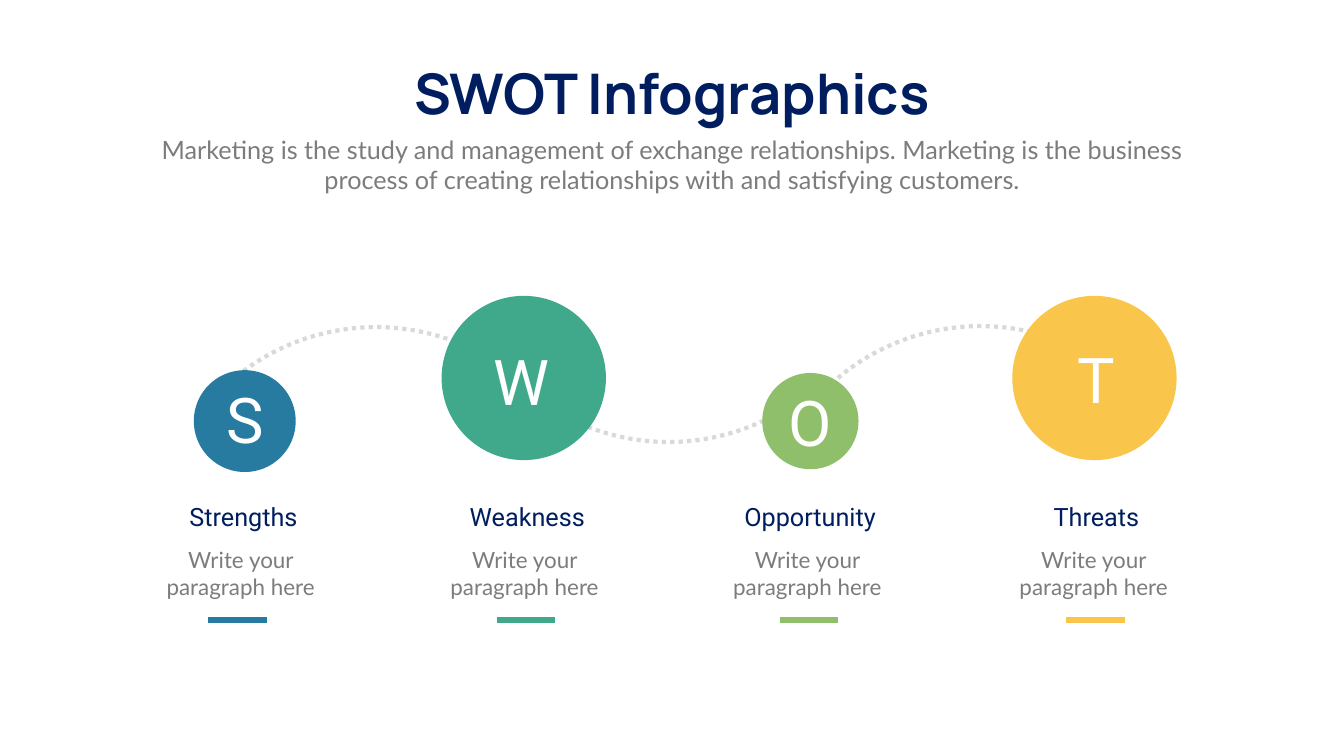
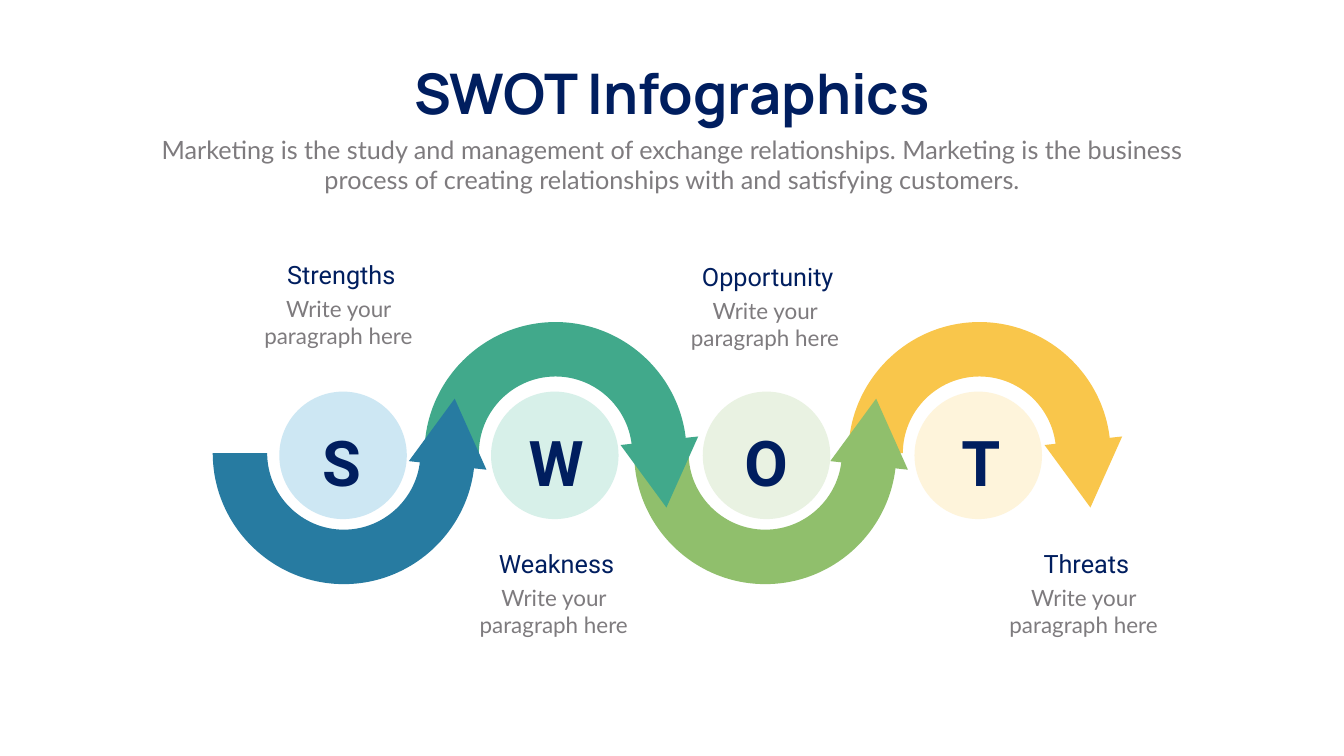
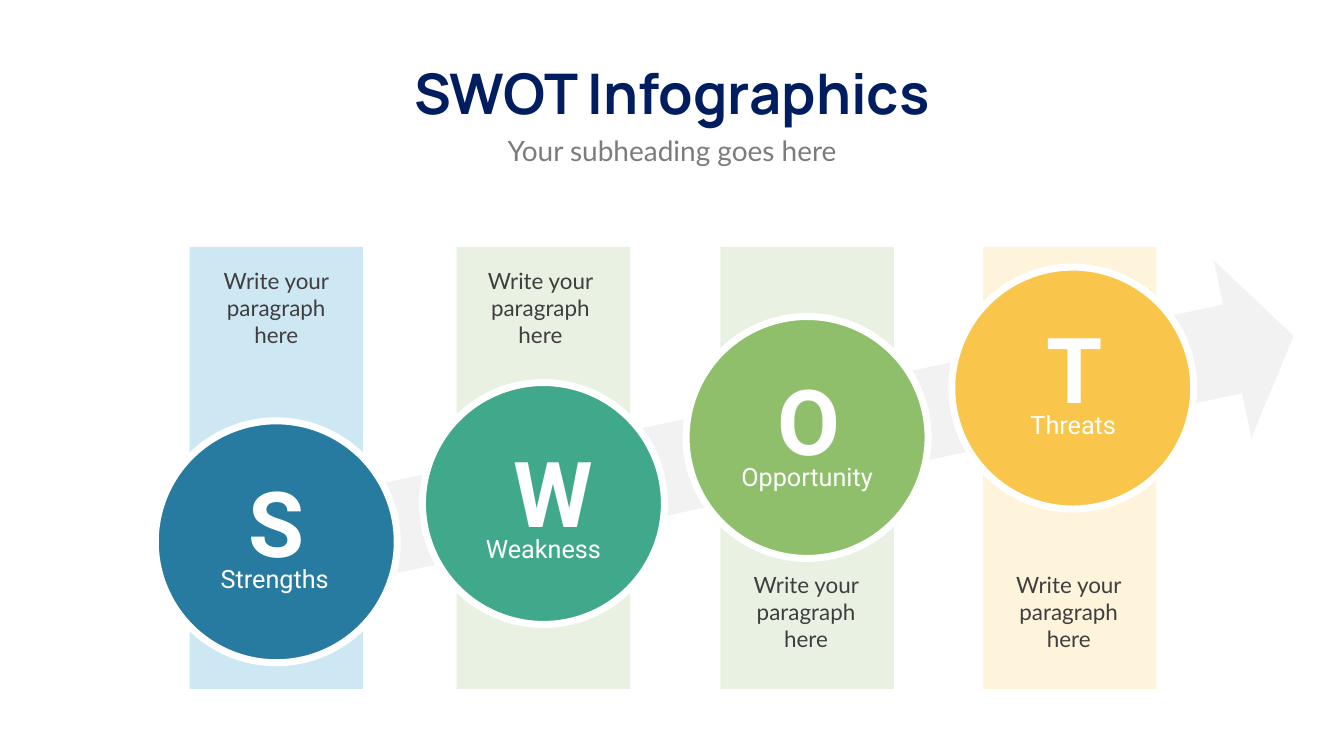
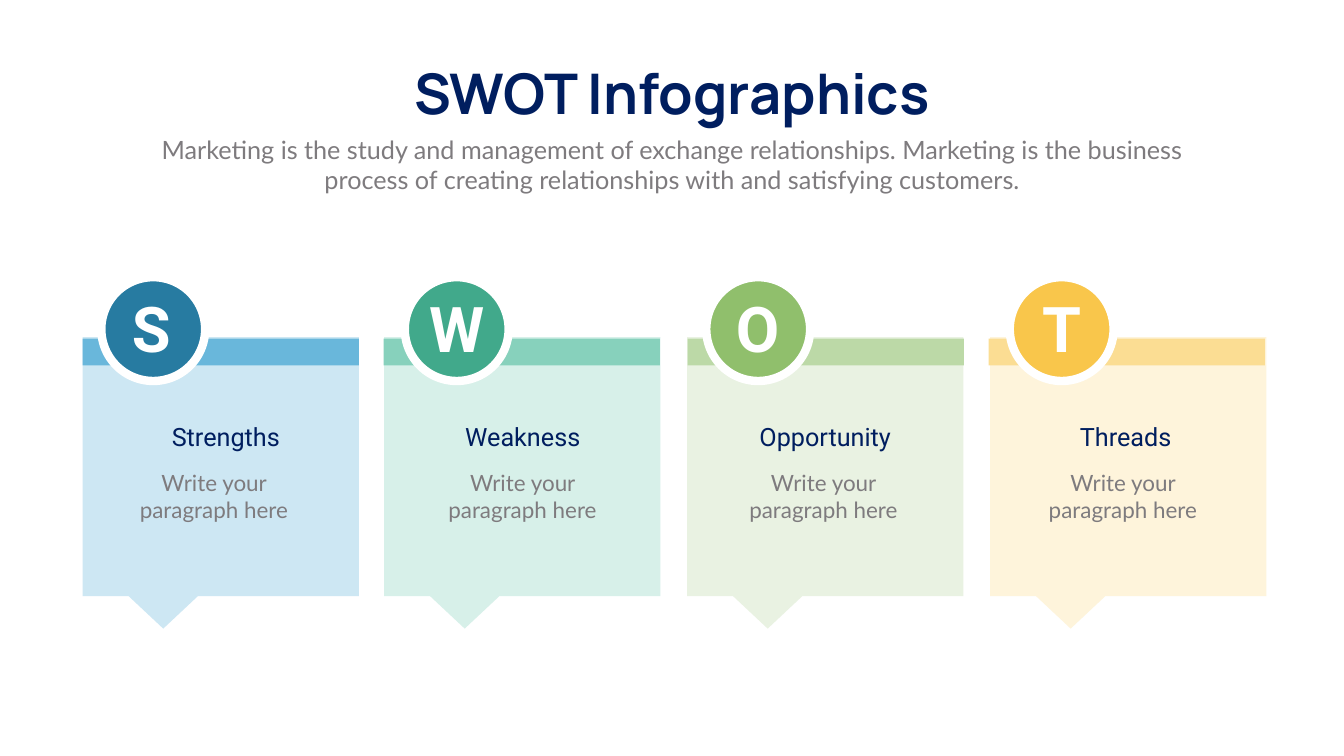
from dataclasses import dataclass
from typing import NamedTuple, Optional

from lxml.etree import Element, SubElement
from pptx import Presentation
from pptx.dml.color import RGBColor
from pptx.enum.dml import MSO_LINE
from pptx.enum.shapes import MSO_CONNECTOR, MSO_SHAPE as Preset
from pptx.enum.text import MSO_AUTO_SIZE, PP_ALIGN
from pptx.oxml.ns import qn
from pptx.shapes.autoshape import Shape
from pptx.slide import Slide
from pptx.util import Inches, Pt

WHITE = RGBColor(0xFF, 0xFF, 0xFF)
NAVY = RGBColor(0x00, 0x1E, 0x5F)
GREY = RGBColor(0x7E, 0x7B, 0x7E)
CHARCOAL = RGBColor(0x3F, 0x3E, 0x3F)
DOT_GREY = RGBColor(0xD9, 0xD9, 0xD9)
ARROW_GREY = RGBColor(0xF2, 0xF2, 0xF2)
BLUE = RGBColor(0x27, 0x7B, 0xA1)
TEAL = RGBColor(0x41, 0xA9, 0x8B)
GREEN = RGBColor(0x90, 0xBF, 0x6C)
YELLOW = RGBColor(0xF9, 0xC6, 0x4B)
MID_BLUE = RGBColor(0x69, 0xB7, 0xDB)
MID_TEAL = RGBColor(0x87, 0xD1, 0xBC)
MID_GREEN = RGBColor(0xBC, 0xD9, 0xA7)
MID_YELLOW = RGBColor(0xFB, 0xDD, 0x93)
PALE_BLUE = RGBColor(0xCD, 0xE7, 0xF3)
PALE_TEAL = RGBColor(0xD7, 0xF0, 0xE9)
PALE_GREEN = RGBColor(0xE9, 0xF2, 0xE2)
PALE_YELLOW = RGBColor(0xFE, 0xF4, 0xDB)

TITLE = "SWOT Infographics"
SUMMARY = (
    "Marketing is the study and management of exchange relationships. "
    "Marketing is the business process of creating relationships with "
    "and satisfying customers."
)
BODY = "Write your paragraph here"


class Box(NamedTuple):
    left: float
    top: float
    width: float
    height: float


class Outline(NamedTuple):
    color: RGBColor
    points: float


class Style(NamedTuple):
    font: str
    size: int
    color: RGBColor
    bold: bool = False


TITLE_STYLE = Style("Manrope", 80, NAVY, True)
SUMMARY_STYLE = Style("Lato", 36, GREY)
SUBHEADING_STYLE = Style("Lato", 40, GREY)
HEADING_STYLE = Style("Roboto", 36, NAVY)
BODY_STYLE = Style("Lato", 32, GREY)
LETTER_STYLE = Style("Roboto", 90, WHITE)


@dataclass(frozen=True)
class Factor:
    letter: str
    name: str
    color: RGBColor
    mid: RGBColor
    pale: RGBColor


FACTORS = [
    Factor("S", "Strengths", BLUE, MID_BLUE, PALE_BLUE),
    Factor("W", "Weakness", TEAL, MID_TEAL, PALE_TEAL),
    Factor("O", "Opportunity", GREEN, MID_GREEN, PALE_GREEN),
    Factor("T", "Threats", YELLOW, MID_YELLOW, PALE_YELLOW),
]


def paint(shape: Shape, fill: Optional[RGBColor], outline: Optional[Outline]) -> None:
    shape.shadow.inherit = False
    if fill is None:
        shape.fill.background()
    else:
        shape.fill.solid()
        shape.fill.fore_color.rgb = fill
    if outline is None:
        shape.line.fill.background()
    else:
        shape.line.color.rgb = outline.color
        shape.line.width = Pt(outline.points)


def add_preset(slide: Slide, preset: Preset, box: Box, fill: Optional[RGBColor],
               outline: Optional[Outline] = None) -> Shape:
    shape = slide.shapes.add_shape(preset, *map(Inches, box))
    paint(shape, fill, outline)
    return shape


def add_circle(slide: Slide, left: float, top: float, size: float,
               fill: RGBColor, outline: Optional[Outline] = None) -> None:
    add_preset(slide, Preset.OVAL, Box(left, top, size, size), fill, outline)


def add_polygon(slide: Slide, points: list[tuple[float, float]], fill: RGBColor) -> Shape:
    corners = [(Inches(x), Inches(y)) for x, y in points]
    builder = slide.shapes.build_freeform(*corners[0])
    builder.add_line_segments(corners[1:], close=True)
    shape = builder.convert_to_shape()
    paint(shape, fill, None)
    return shape


def bend_segments(shape: Shape, starts: tuple[int, ...]) -> None:
    """Turn the three straight segments from each start into one Bezier curve."""
    segments = list(shape._element.iter(qn("a:lnTo")))
    for start in starts:
        curve = Element(qn("a:cubicBezTo"))
        segments[start].addprevious(curve)
        for segment in segments[start:start + 3]:
            curve.append(segment[0])
            segment.getparent().remove(segment)


def add_text(slide: Slide, box: Box, text: str, style: Style, wrap: bool = True) -> None:
    frame = slide.shapes.add_textbox(*map(Inches, box)).text_frame
    frame.word_wrap = wrap
    frame.auto_size = MSO_AUTO_SIZE.SHAPE_TO_FIT_TEXT
    paragraph = frame.paragraphs[0]
    paragraph.alignment = PP_ALIGN.CENTER
    run = paragraph.add_run()
    run.text = text
    run.font.name = style.font
    run.font.size = Pt(style.size)
    run.font.bold = style.bold
    run.font.color.rgb = style.color


def add_letter(slide: Slide, left: float, top: float, text: str, style: Style,
               width: float = 1.45) -> None:
    add_text(slide, Box(left, top, width, 1.62), text, style)


def add_heading(slide: Slide, left: float, top: float, text: str,
                style: Style = HEADING_STYLE) -> None:
    add_text(slide, Box(left, top, 3.26, 0.71), text, style)


def add_body(slide: Slide, left: float, top: float) -> None:
    add_text(slide, Box(left - 0.01, top, 3.17, 1.18), BODY, BODY_STYLE)


def add_rule(slide: Slide, left: float, top: float, length: float, color: RGBColor) -> None:
    rule = slide.shapes.add_connector(
        MSO_CONNECTOR.STRAIGHT, Inches(left), Inches(top), Inches(left + length), Inches(top))
    rule.line.color.rgb = color
    rule.line.width = Pt(8)
    SubElement(rule._element.spPr, qn("a:effectLst"))


def add_titled_slide(presentation: Presentation, subtitle: str = SUMMARY,
                     style: Style = SUMMARY_STYLE) -> Slide:
    slide = presentation.slides.add_slide(presentation.slide_layouts[6])
    add_text(slide, Box(7.72, 1.12, 11.22, 1.45), TITLE, TITLE_STYLE, wrap=False)
    height = 1.31 if subtitle == SUMMARY else 0.77
    add_text(slide, Box(2.92, 2.61, 20.82, height), subtitle, style)
    return slide


class DottedArc(NamedTuple):
    left: float
    top: float
    rotation: float
    start: float
    end: float


class Bubble(NamedTuple):
    left: float
    top: float
    size: float
    letter_left: float
    letter_top: float
    text_left: float
    rule_left: float


def build_bubbles(presentation: Presentation) -> None:
    slide = add_titled_slide(presentation)
    arcs = [
        DottedArc(15.05, 6.47, 333.6, 254.23, 345.46),
        DottedArc(8.86, -0.03, 135, 270, 0),
        DottedArc(3.06, 6.49, 305.4, 283.58, 0),
    ]
    for item in arcs:
        arc = add_preset(slide, Preset.ARC, Box(item.left, item.top, 8.8, 8.8),
                         None, Outline(DOT_GREY, 6))
        arc.line.dash_style = MSO_LINE.ROUND_DOT
        arc.rotation = item.rotation
        # An adjustment of 0.6 stands for one degree.
        arc.adjustments[0] = item.start * 0.6
        arc.adjustments[1] = item.end * 0.6

    bubbles = [
        Bubble(3.9, 7.4, 1.91, 4.13, 7.51, 3.2, 4.13),
        Bubble(8.76, 5.87, 3.26, 9.62, 6.74, 8.83, 9.85),
        Bubble(15.12, 7.4, 1.91, 15.35, 7.56, 14.44, 15.47),
        Bubble(20.08, 5.87, 3.26, 21.02, 6.71, 20.12, 21.15),
    ]
    for factor, bubble in zip(FACTORS, bubbles):
        outline = Outline(BLUE, 8) if factor.letter == "S" else None
        add_circle(slide, bubble.left, bubble.top, bubble.size, factor.color, outline)
        add_letter(slide, bubble.letter_left, bubble.letter_top, factor.letter, LETTER_STYLE)
        add_heading(slide, bubble.text_left, 9.89, factor.name)
        add_body(slide, bubble.text_left, 10.78)
        add_rule(slide, bubble.rule_left, 12.3, 1.16, factor.color)


class Bend(NamedTuple):
    center: float
    direction: int
    letter_left: float
    text_left: float
    text_top: float


def half_circle(radius: float) -> list[tuple[float, float]]:
    """Give the Bezier points of a half circle from its right end to its left end."""
    handle = 0.55 * radius
    right = [(radius, 0), (radius, handle), (handle, radius)]
    return right + [(0, radius)] + [(-x, y) for x, y in reversed(right)]


def add_bend(slide: Slide, center: float, direction: int, color: RGBColor) -> None:
    """Draw half a ring with an arrowhead; direction 1 hangs down, -1 arches up."""
    def place(points: list[tuple[float, float]]) -> list[tuple[float, float]]:
        return [(center + x, 8.99 + direction * y) for x, y in points]

    ring = half_circle(2.6) + half_circle(1.52)[::-1]
    bend_segments(add_polygon(slide, place(ring), color), (0, 3, 7, 10))
    add_polygon(slide, place([(2.2, -1.08), (1.29, 0.16), (2.83, 0.33)]), color)


def build_wave(presentation: Presentation) -> None:
    slide = add_titled_slide(presentation)
    bends = [
        Bend(6.82, 1, 6.05, 5.14, 5.1),
        Bend(11.02, -1, 10.31, 9.41, 10.83),
        Bend(15.18, 1, 14.47, 13.6, 5.13),
        Bend(19.43, -1, 18.73, 19.92, 10.83),
    ]
    for index, factor in enumerate(FACTORS):
        add_circle(slide, 5.54 + 4.2 * index, 7.77, 2.53, factor.pale)
    stages = list(zip(FACTORS, bends))
    for factor, bend in reversed(stages):
        add_bend(slide, bend.center, bend.direction, factor.color)
    for factor, bend in stages:
        add_letter(slide, bend.letter_left, 8.36, factor.letter,
                   LETTER_STYLE._replace(color=NAVY, bold=True))
        add_body(slide, bend.text_left, bend.text_top + 0.71)
        add_heading(slide, bend.text_left, bend.text_top, factor.name)


class Column(NamedTuple):
    left: float
    fill: RGBColor
    circle_left: float
    circle_top: float
    body_left: float
    body_top: float
    name_left: float
    name_top: float


def build_rising_columns(presentation: Presentation) -> None:
    slide = add_titled_slide(presentation, "Your subheading goes here", SUBHEADING_STYLE)
    arrow = add_preset(slide, Preset.UP_ARROW, Box(13.12, -2.03, 3.6, 21.96), ARROW_GREY)
    arrow.rotation = 78
    arrow.adjustments[0] = 0.5
    arrow.adjustments[1] = 0.344

    columns = [
        Column(3.76, PALE_BLUE, 3.08, 8.35, 4.25, 5.25, 3.82, 11.12),
        Column(9.06, PALE_GREEN, 8.38, 7.59, 9.49, 5.25, 9.15, 10.53),
        Column(14.29, PALE_GREEN, 13.61, 6.28, 14.76, 11.28, 14.38, 9.11),
        Column(19.5, PALE_YELLOW, 18.88, 5.3, 19.97, 11.28, 19.66, 8.07),
    ]
    for factor, column in zip(FACTORS, columns):
        add_preset(slide, Preset.RECTANGLE, Box(column.left, 4.9, 3.44, 8.77), column.fill)
        add_circle(slide, column.circle_left, column.circle_top, 4.8, factor.color,
                   Outline(WHITE, 10))
        add_text(slide, Box(column.body_left, column.body_top, 2.46, 1.72), BODY,
                 BODY_STYLE._replace(color=CHARCOAL))
        add_text(slide, Box(column.name_left + 0.94, column.name_top - 1.92, 1.45, 2.29),
                 factor.letter, LETTER_STYLE._replace(size=130, bold=True))
        add_heading(slide, column.name_left, column.name_top, factor.name,
                    HEADING_STYLE._replace(color=WHITE))


class Card(NamedTuple):
    left: float
    band_left: float
    circle_left: float
    letter_left: float
    name: str
    name_left: float
    body_left: float


def build_cards(presentation: Presentation) -> None:
    slide = add_titled_slide(presentation)
    cards = [
        Card(1.64, 1.64, 2.01, 2.35, "Strengths", 2.85, 2.67),
        Card(7.62, 7.61, 8.03, 8.41, "Weakness", 8.74, 8.79),
        Card(13.63, 13.64, 14.01, 14.38, "Opportunity", 14.74, 14.76),
        Card(19.64, 19.61, 20.03, 20.41, "Threads", 20.7, 20.7),
    ]
    for factor, card in zip(FACTORS, cards):
        add_preset(slide, Preset.RECTANGULAR_CALLOUT, Box(card.left, 6.69, 5.48, 5.14),
                   factor.pale)
        add_preset(slide, Preset.RECTANGLE, Box(card.band_left, 6.72, 5.48, 0.53), factor.mid)
        add_circle(slide, card.circle_left, 5.5, 2.06, factor.color, Outline(WHITE, 12))
        add_letter(slide, card.letter_left, 5.69, factor.letter,
                   LETTER_STYLE._replace(bold=True), width=1.3)
        add_heading(slide, card.name_left, 8.31, card.name)
        add_body(slide, card.body_left, 9.26)


def main() -> None:
    presentation = Presentation()
    presentation.slide_width = Inches(26.66)
    presentation.slide_height = Inches(15)
    build_bubbles(presentation)
    build_wave(presentation)
    build_rising_columns(presentation)
    build_cards(presentation)
    presentation.save("out.pptx")


if __name__ == "__main__":
    main()
